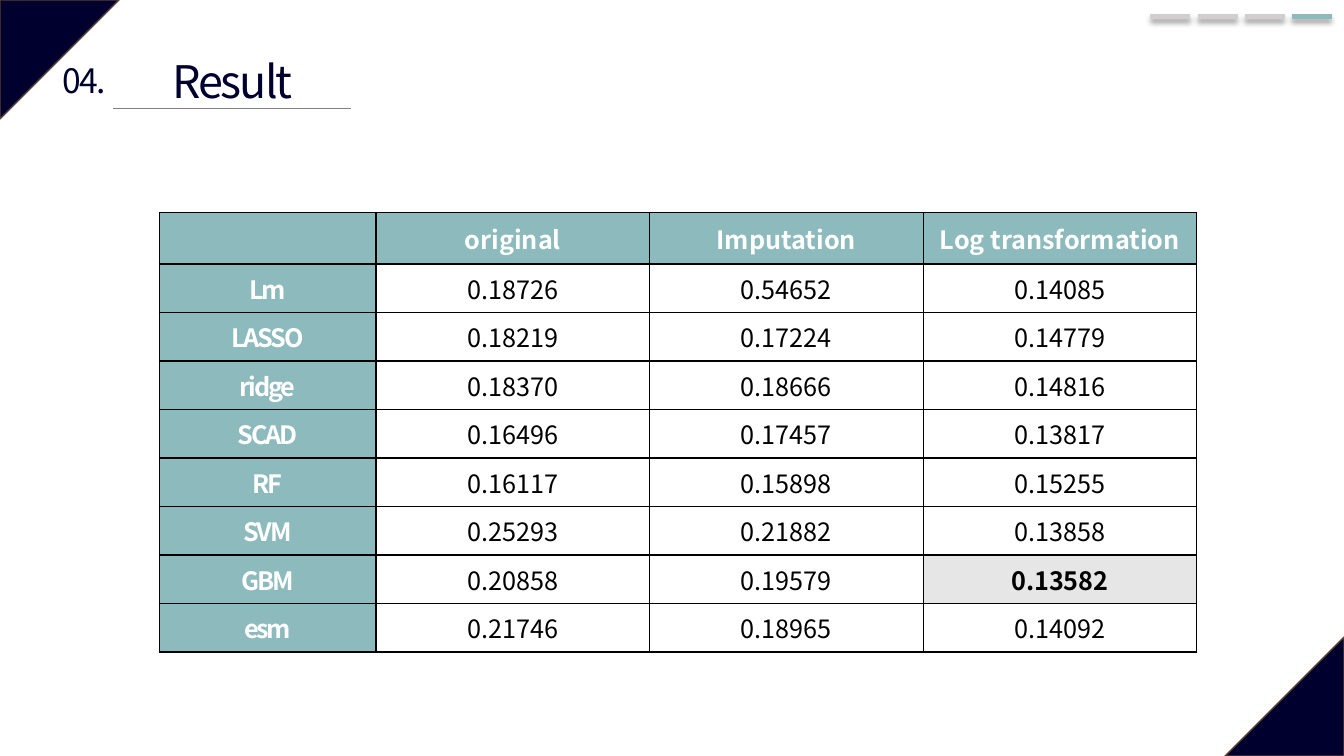
from lxml.etree import SubElement
from pptx import Presentation
from pptx.dml.color import RGBColor
from pptx.enum.shapes import MSO_CONNECTOR, MSO_SHAPE
from pptx.enum.text import MSO_ANCHOR, MSO_AUTO_SIZE, PP_ALIGN
from pptx.oxml import parse_xml
from pptx.oxml.ns import nsdecls, qn
from pptx.util import Inches, Pt

NAVY = RGBColor(0x00, 0x00, 0x2F)
BROWN = RGBColor(0x5B, 0x3F, 0x33)
TEAL = RGBColor(0x8D, 0xBA, 0xBD)
SILVER = RGBColor(0xD0, 0xCE, 0xCE)
GRAY = RGBColor(0x80, 0x80, 0x80)
HIGHLIGHT = RGBColor(0xE7, 0xE6, 0xE6)
WHITE = RGBColor(0xFF, 0xFF, 0xFF)
BLACK = RGBColor(0x00, 0x00, 0x00)
FONT = "Noto Sans CJK KR"
SLIDE_WIDTH, SLIDE_HEIGHT = 13.33, 7.5
CORNER_SIZE = 1.18
TIGHT = -150

HEADERS = ["", "original", "Imputation", "Log transformation"]
RESULTS = [
    ["Lm", "0.18726", "0.54652", "0.14085"],
    ["LASSO", "0.18219", "0.17224", "0.14779"],
    ["ridge", "0.18370", "0.18666", "0.14816"],
    ["SCAD", "0.16496", "0.17457", "0.13817"],
    ["RF", "0.16117", "0.15898", "0.15255"],
    ["SVM", "0.25293", "0.21882", "0.13858"],
    ["GBM", "0.20858", "0.19579", "0.13582"],
    ["esm", "0.21746", "0.18965", "0.14092"],
]
BEST = "0.13582"


def format_text(text_frame, size, color, bold=False, spacing=0):
    """Centre the paragraph and format its runs."""
    paragraph = text_frame.paragraphs[0]
    paragraph.alignment = PP_ALIGN.CENTER
    for run in paragraph.runs:
        run.font.name = FONT
        run.font.size = Pt(size)
        run.font.bold = bold
        run.font.color.rgb = color
        run._r.get_or_add_rPr().set("spc", str(spacing))


def add_corner(slide, left, top, rotation):
    """Add a navy triangle that fills one corner of the slide."""
    size = Inches(CORNER_SIZE)
    corner = slide.shapes.add_shape(
        MSO_SHAPE.ISOSCELES_TRIANGLE, Inches(left), Inches(top), size, size)
    corner.adjustments[0] = 0
    corner.rotation = rotation
    corner.shadow.inherit = False
    corner.fill.solid()
    corner.fill.fore_color.rgb = NAVY
    corner.line.color.rgb = BROWN
    corner.line.width = Pt(1)


def add_rule(slide, left, top, width, color, weight):
    """Add a horizontal line and return its empty effect list."""
    rule = slide.shapes.add_connector(
        MSO_CONNECTOR.STRAIGHT, Inches(left), Inches(top), Inches(left + width), Inches(top))
    rule.line.color.rgb = color
    rule.line.width = Pt(weight)
    return SubElement(rule._element.spPr, qn("a:effectLst"))


def add_progress(slide, left, top, width, count, current):
    """Add shadowed section markers with the current one in teal."""
    gap = 0.07
    marker_width = (width - gap * (count - 1)) / count
    for index in range(count):
        color = TEAL if index == current else SILVER
        effects = add_rule(
            slide, left + index * (marker_width + gap), top, marker_width, color, 3.5)
        effects.append(parse_xml(
            f'<a:outerShdw {nsdecls("a")} blurRad="{Pt(4)}" dist="{Pt(3)}" dir="5400000" '
            'algn="t" rotWithShape="0"><a:srgbClr val="000000"><a:alpha val="40000"/>'
            '</a:srgbClr></a:outerShdw>'))


def add_label(slide, left, top, width, height, text, size):
    """Add a one-line navy text box."""
    label = slide.shapes.add_textbox(Inches(left), Inches(top), Inches(width), Inches(height))
    text_frame = label.text_frame
    text_frame.word_wrap = False
    text_frame.auto_size = MSO_AUTO_SIZE.SHAPE_TO_FIT_TEXT
    text_frame.text = text
    format_text(text_frame, size, NAVY, spacing=TIGHT)


def add_heading(slide, left, top, number, title):
    """Add the section number, its title and the underline."""
    add_rule(slide, left + 0.62, top + 0.6, 2.36, GRAY, 0.5)
    add_label(slide, left + 1.08, top, 1.45, 0.64, title, 32)
    add_label(slide, left, top + 0.07, 0.67, 0.5, number, 24)


def add_borders(cell):
    """Draw a thin black border on every side of a cell."""
    properties = cell._tc.get_or_add_tcPr()
    for side in ("lnL", "lnR", "lnT", "lnB"):
        properties.append(parse_xml(
            f'<a:{side} {nsdecls("a")} w="{Pt(1)}"><a:solidFill><a:srgbClr val="{BLACK}"/>'
            f'</a:solidFill></a:{side}>'))


def style_cell(cell, text, is_header, is_name):
    """Write a table cell with the look of its role."""
    is_label = is_header or is_name
    is_best = text == BEST
    add_borders(cell)
    if is_label or is_best:
        cell.fill.solid()
        cell.fill.fore_color.rgb = TEAL if is_label else HIGHLIGHT
    else:
        cell.fill.background()
    cell.vertical_anchor = MSO_ANCHOR.MIDDLE
    cell.text_frame.text = text
    format_text(cell.text_frame, 18, WHITE if is_label else BLACK,
                bold=is_label or is_best, spacing=TIGHT if is_name else 0)


def add_results(slide, left, top, width, height):
    """Add the table of model errors."""
    rows = [HEADERS] + RESULTS
    table = slide.shapes.add_table(
        len(rows), len(HEADERS), Inches(left), Inches(top), Inches(width), Inches(height)).table
    table.first_row = table.horz_banding = False
    name_width, header_height = 2.15, 0.51
    for index, column in enumerate(table.columns):
        column.width = Inches((width - name_width) / (len(HEADERS) - 1) if index else name_width)
    for index, row in enumerate(table.rows):
        row.height = Inches((height - header_height) / len(RESULTS) if index else header_height)
    for row_index, values in enumerate(rows):
        for column_index, text in enumerate(values):
            style_cell(table.cell(row_index, column_index), text,
                       row_index == 0, column_index == 0)


def main():
    """Build the result slide and save it."""
    presentation = Presentation()
    presentation.slide_width = Inches(SLIDE_WIDTH)
    presentation.slide_height = Inches(SLIDE_HEIGHT)
    slide = presentation.slides.add_slide(presentation.slide_layouts[6])
    add_corner(slide, 0, 0, 90)
    add_corner(slide, SLIDE_WIDTH - CORNER_SIZE, SLIDE_HEIGHT - CORNER_SIZE, 270)
    add_progress(slide, 11.41, 0.16, 1.8, 4, 3)
    add_heading(slide, 0.5, 0.48, "04.", "Result")
    add_results(slide, 1.58, 2.11, 10.29, 4.36)
    presentation.save("out.pptx")


if __name__ == "__main__":
    main()
